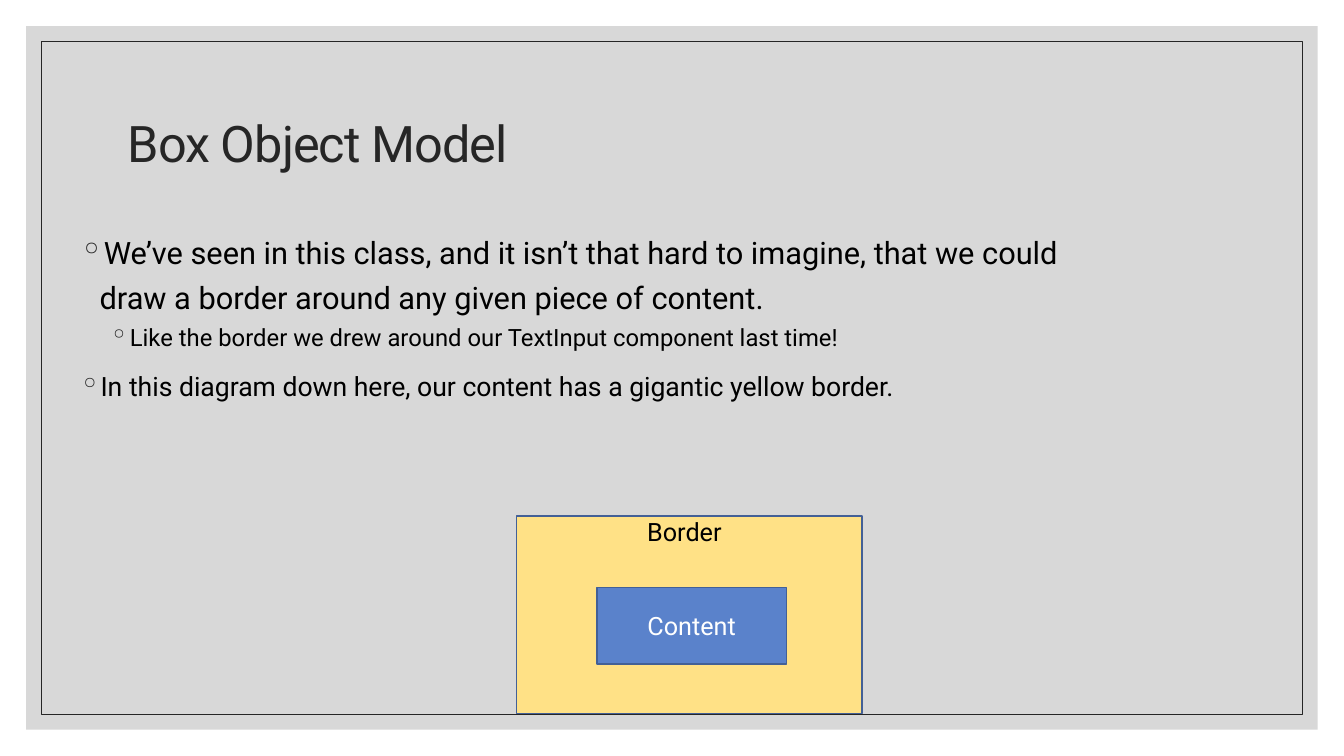
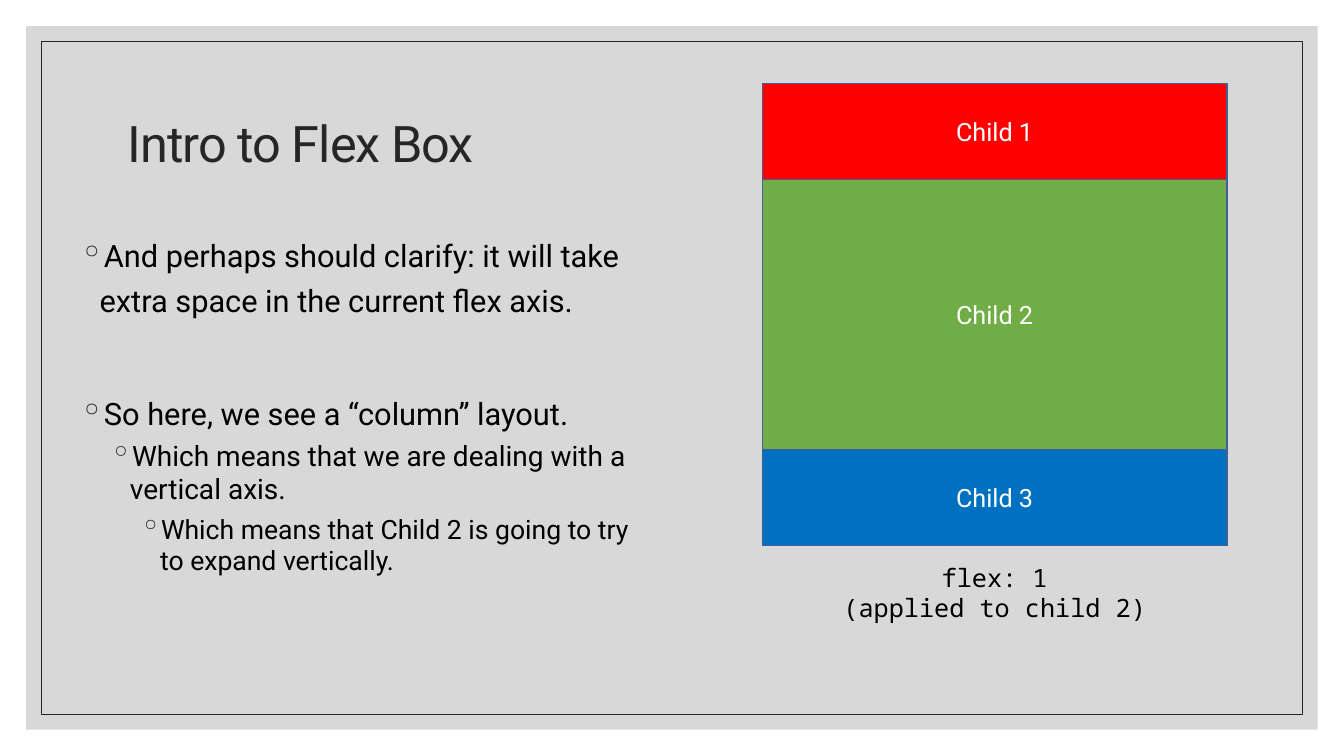
from lxml.etree import SubElement
from pptx import Presentation
from pptx.dml.color import RGBColor
from pptx.enum.shapes import MSO_SHAPE
from pptx.enum.text import MSO_ANCHOR, PP_ALIGN
from pptx.oxml.ns import qn
from pptx.util import Inches, Pt

WHITE = RGBColor(0xFF, 0xFF, 0xFF)
BLACK = RGBColor(0, 0, 0)
INK = RGBColor(0x26, 0x26, 0x26)
GRAY = RGBColor(0xBF, 0xBF, 0xBF)
OUTLINE = RGBColor(0x43, 0x60, 0x96)
YELLOW = RGBColor(0xFF, 0xE1, 0x86)
PERIWINKLE = RGBColor(0x5A, 0x82, 0xCB)
RED = RGBColor(0xFF, 0, 0)
GREEN = RGBColor(0x70, 0xAD, 0x47)
BLUE = RGBColor(0, 0x70, 0xC0)

WIDTH, HEIGHT = 13.33, 7.5
BAND_MARGIN, FRAME_MARGIN = 0.26, 0.41
SANS, MONO = "Roboto", "Noto Sans Mono"

TITLE = {"size": Pt(36), "name": SANS, "color": INK}
LABEL = {"size": Pt(18), "name": SANS, "color": WHITE}
DARK_LABEL = {**LABEL, "color": BLACK}
CODE = {**DARK_LABEL, "name": MONO}

BORDER_TITLE = "Box Object Model"
BORDER_POINTS = [
    (0, 22, 0, "We’ve seen in this class, and it isn’t that hard to imagine, "
               "that we could draw a border around any given piece of content."),
    (1, 17, 5, "Like the border we drew around our TextInput component last time!"),
    (0, 19, 9, "In this diagram down here, our content has a gigantic yellow border."),
]
FLEX_TITLE = "Intro to Flex Box"
FLEX_POINTS = [
    (0, 22, 0, "And perhaps should clarify: it will take extra space in the current flex axis."),
    (0, 22, 49, "So here, we see a “column” layout."),
    (1, 20, 5, "Which means that we are dealing with a vertical axis."),
    (2, 19, 5, "Which means that Child 2 is going to try to expand vertically."),
]
CHILDREN = [("Child 1", RED, 0.95), ("Child 2", GREEN, 2.68), ("Child 3", BLUE, 0.95)]
FLEX_CODE = ["flex: 1", "(applied to child 2)"]


def write(para, text, style):
    span = para.add_run()
    span.text = text
    for name, value in style.items():
        if name == "color":
            span.font.color.rgb = value
        else:
            setattr(span.font, name, value)
    return span


def add_rectangle(shapes, place, fill=None, line=None, weight=1, label=None):
    box = shapes.add_shape(MSO_SHAPE.RECTANGLE, *map(Inches, place))
    box.shadow.inherit = False
    if fill is None:
        box.fill.background()
    else:
        box.fill.solid()
        box.fill.fore_color.rgb = fill
    if line is None:
        box.line.fill.background()
    else:
        box.line.color.rgb = line
        box.line.width = Pt(weight)
    if label:
        box.text_frame.vertical_anchor = MSO_ANCHOR.MIDDLE
        para = box.text_frame.paragraphs[0]
        para.alignment = PP_ALIGN.CENTER
        write(para, label, LABEL)
    return box


def add_text(page, place, lines, style, wrap=True, align=PP_ALIGN.LEFT):
    frame = page.shapes.add_textbox(*map(Inches, place)).text_frame
    frame.word_wrap = wrap
    for index, line in enumerate(lines):
        para = frame.add_paragraph() if index else frame.paragraphs[0]
        para.alignment = align
        write(para, line, style)
    return frame


def add_bullets(page, place, points):
    frame = page.shapes.add_textbox(*map(Inches, place)).text_frame
    frame.word_wrap = True
    for index, (level, size, before, text) in enumerate(points):
        para = frame.add_paragraph() if index else frame.paragraphs[0]
        properties = para._p.get_or_add_pPr()
        properties.set("marL", str(Inches(0.2 + 0.3 * level)))
        properties.set("indent", str(Inches(-0.2)))
        color = SubElement(properties, qn("a:buClr"))
        SubElement(color, qn("a:srgbClr"), val=str(INK))
        SubElement(properties, qn("a:buChar"), char="◦")
        para.level = level
        para.space_before = Pt(before)
        para.line_spacing = 1.0 if level else 1.2
        write(para, text, {"size": Pt(size), "name": SANS, "color": BLACK})


def inset(margin):
    return margin, margin, WIDTH - 2 * margin, HEIGHT - 2 * margin


def add_page(deck, title):
    page = deck.slides.add_slide(deck.slide_layouts[6])
    band = add_rectangle(page.shapes, inset(BAND_MARGIN), GRAY)
    color = band.fill._xPr.find(qn("a:solidFill"))[0]
    SubElement(color, qn("a:alpha"), val="60000")
    add_rectangle(page.shapes, inset(FRAME_MARGIN), line=INK, weight=0.5)
    frame = add_text(page, (1.17, 0.7, 11, 1.5), [title], TITLE)
    frame.vertical_anchor = MSO_ANCHOR.MIDDLE
    para = frame.paragraphs[0]
    para.line_spacing = 0.9
    para.runs[0].font._element.set("spc", "-70")
    return page


def build_border_page(deck):
    page = add_page(deck, BORDER_TITLE)
    add_rectangle(page.shapes, (5.12, 5.12, 3.43, 1.96), YELLOW, OUTLINE)
    add_bullets(page, (0.69, 2.2, 10.46, 4.94), BORDER_POINTS)
    add_rectangle(page.shapes, (5.92, 5.83, 1.88, 0.76), PERIWINKLE, OUTLINE, label="Content")
    add_text(page, (6.32, 5.07, 1.04, 0.4), ["Border"], DARK_LABEL, wrap=False)


def build_flex_page(deck):
    page = add_page(deck, FLEX_TITLE)
    add_bullets(page, (0.69, 2.23, 5.85, 4.94), FLEX_POINTS)
    left, top, width = 7.56, 0.83, 4.61
    column = page.shapes.add_group_shape().shapes
    total = sum(height for _, _, height in CHILDREN)
    add_rectangle(column, (left, top, width, total), WHITE, OUTLINE)
    for name, fill, height in CHILDREN:
        add_rectangle(column, (left, top, width, height), fill, OUTLINE, label=name)
        top += height
    add_text(page, (7.39, 5.53, 4.95, 0.71), FLEX_CODE, CODE, align=PP_ALIGN.CENTER)


def main():
    deck = Presentation()
    deck.slide_width, deck.slide_height = Inches(WIDTH), Inches(HEIGHT)
    build_border_page(deck)
    build_flex_page(deck)
    deck.save("out.pptx")


if __name__ == "__main__":
    main()
